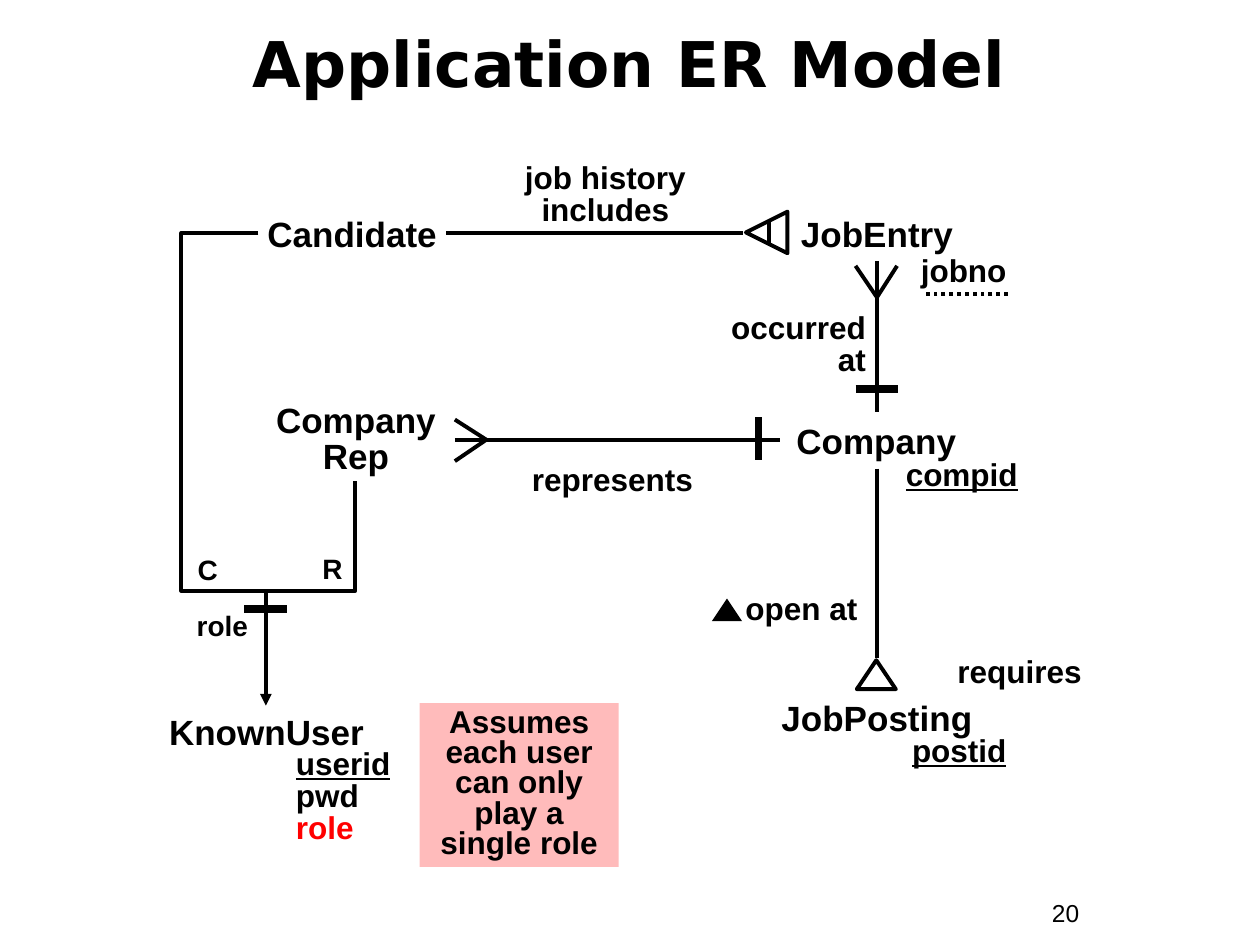
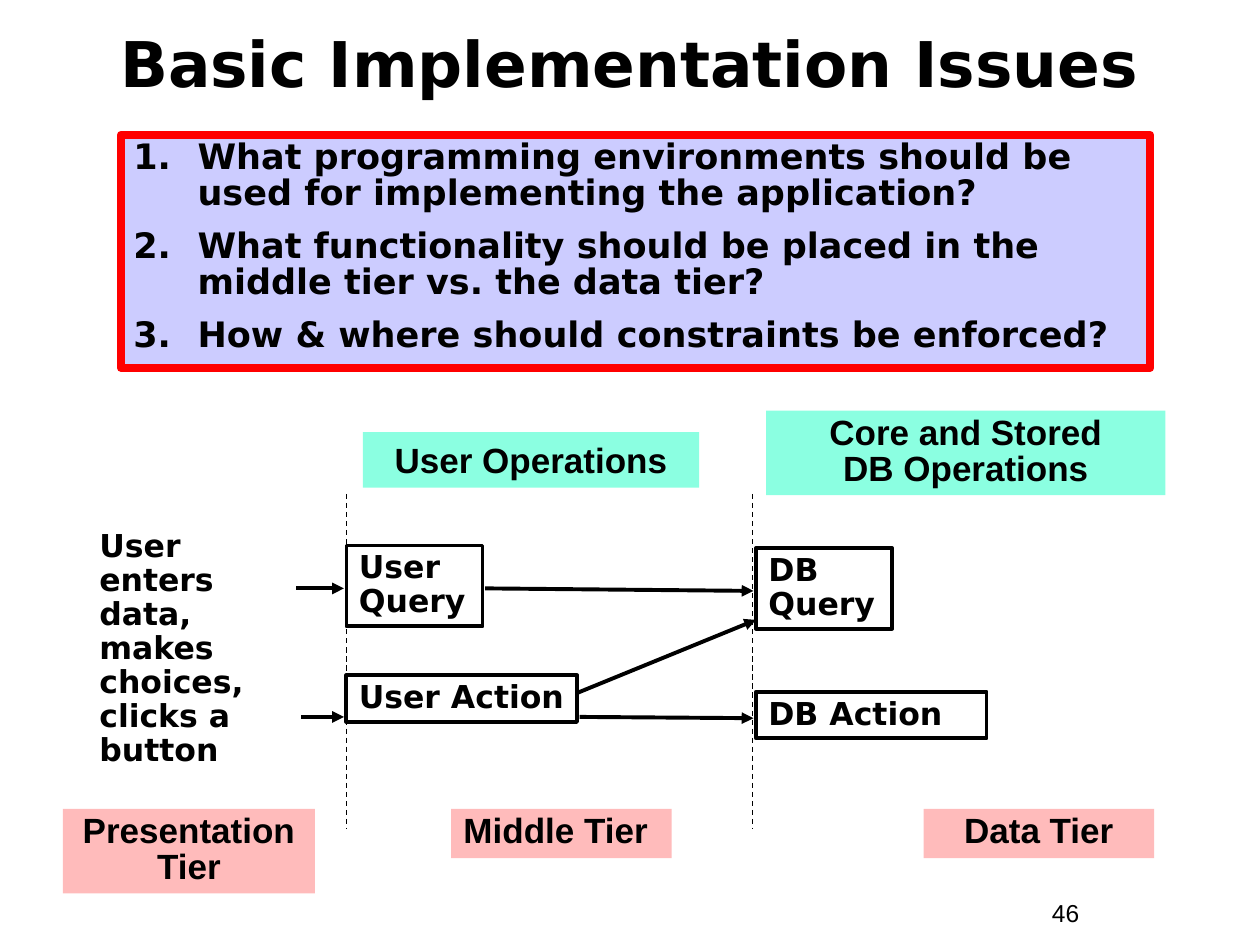
from dataclasses import dataclass
from typing import Optional

from lxml.etree import SubElement
from pptx import Presentation
from pptx.dml.color import RGBColor
from pptx.enum.dml import MSO_LINE as Dash
from pptx.enum.shapes import MSO_CONNECTOR as Connector, MSO_SHAPE as Shape
from pptx.enum.text import MSO_ANCHOR as Anchor, PP_ALIGN as Align
from pptx.oxml.ns import qn
from pptx.util import Inches, Pt

BLACK = RGBColor(0x00, 0x00, 0x00)
WHITE = RGBColor(0xFF, 0xFF, 0xFF)
RED = RGBColor(0xFF, 0x00, 0x00)
PINK = RGBColor(0xFF, 0xBB, 0xBB)
MINT = RGBColor(0x8B, 0xFF, 0xE1)
LAVENDER = RGBColor(0xCC, 0xCC, 0xFF)

ARIAL = "Arial"
DEJAVU = "DejaVu Sans"
THIN, NORMAL, THICK = 0.75, 2.25, 4.5

Point = tuple[float, float]
Frame = tuple[float, float, float, float]


@dataclass(frozen=True)
class Span:
    text: str
    color: RGBColor = BLACK
    underline: bool = False


@dataclass(frozen=True)
class Box:
    """A text block; each span is a paragraph and a newline is a line break."""
    frame: Frame
    spans: tuple[Span, ...]
    size: float = 18
    font: str = ARIAL
    bold: bool = True
    align: Align = Align.CENTER
    anchor: Anchor = Anchor.TOP
    spacing: float = 0.85
    wrap: bool = True
    fill: Optional[RGBColor] = None
    line: Optional[RGBColor] = None
    weight: float = NORMAL
    numbered: bool = False


@dataclass(frozen=True)
class Link:
    start: Point
    end: Point
    weight: float = NORMAL
    dash: Optional[Dash] = None
    arrow: bool = False


def label(text: str, *frame: float, size: float = 18, align: Align = Align.CENTER,
          underline: bool = False) -> Box:
    return Box(frame, (Span(text, underline=underline),), size, align=align)


def entity(text: str, *frame: float, spacing: float = 1.0) -> Box:
    return Box(frame, (Span(text),), 20, anchor=Anchor.MIDDLE, spacing=spacing,
               wrap=False, fill=WHITE)


def band(text: str, *frame: float, fill: RGBColor, align: Align = Align.CENTER,
         anchor: Anchor = Anchor.TOP, spacing: float = 0.85) -> Box:
    return Box(frame, (Span(text),), 20, align=align, anchor=anchor,
               spacing=spacing, fill=fill)


def step(text: str, *frame: float, line: Optional[RGBColor] = BLACK) -> Box:
    return Box(frame, (Span(text),), font=DEJAVU, align=Align.LEFT,
               spacing=0.9, line=line)


def style_shape(shape, fill: Optional[RGBColor], line: Optional[RGBColor],
                weight: float = NORMAL) -> None:
    shape.shadow.inherit = False
    if fill is None:
        shape.fill.background()
    else:
        shape.fill.solid()
        shape.fill.fore_color.rgb = fill
    if line is None:
        shape.line.fill.background()
    else:
        shape.line.color.rgb = line
        shape.line.width = Pt(weight)


def number_paragraph(para) -> None:
    properties = para._p.get_or_add_pPr()
    properties.set("marL", str(Inches(0.51)))
    properties.set("indent", str(-Inches(0.51)))
    para.space_before = Pt(10)
    SubElement(properties, qn("a:buFont"), typeface="+mj-lt")
    SubElement(properties, qn("a:buAutoNum"), type="arabicPeriod")


def add_span(para, span: Span, box: Box) -> None:
    for index, text in enumerate(span.text.split("\n")):
        if index:
            para.add_line_break()
        run = para.add_run()
        run.text = text
        run.font.name = box.font
        run.font.size = Pt(box.size)
        run.font.bold = box.bold
        run.font.underline = span.underline
        run.font.color.rgb = span.color


def add_box(page, box: Box) -> None:
    frame = [Inches(length) for length in box.frame]
    if box.fill is None and box.line is None:
        shape = page.shapes.add_textbox(*frame)
    else:
        shape = page.shapes.add_shape(Shape.RECTANGLE, *frame)
        style_shape(shape, box.fill, box.line, box.weight)
    body = shape.text_frame
    body.word_wrap = box.wrap
    body.vertical_anchor = box.anchor
    for index, span in enumerate(box.spans):
        para = body.add_paragraph() if index else body.paragraphs[0]
        para.alignment = box.align
        para.line_spacing = box.spacing
        if box.numbered:
            number_paragraph(para)
        add_span(para, span, box)


def add_link(page, link: Link) -> None:
    ends = [Inches(length) for length in (*link.start, *link.end)]
    connector = page.shapes.add_connector(Connector.STRAIGHT, *ends)
    connector.line.color.rgb = BLACK
    connector.line.width = Pt(link.weight)
    if link.dash is not None:
        connector.line.dash_style = link.dash
    if link.arrow:
        SubElement(connector.line._get_or_add_ln(), qn("a:tailEnd"), type="triangle")
    SubElement(connector._element.spPr, qn("a:effectLst"))


def add_route(page, points: list[Point]) -> None:
    """Draw an open line with square corners through the points."""
    (left, top), *rest = [(Inches(x), Inches(y)) for x, y in points]
    builder = page.shapes.build_freeform(left, top)
    builder.add_line_segments(rest, close=False)
    style_shape(builder.convert_to_shape(), None, BLACK)


def add_triangle(page, kind: Shape, frame: Frame, fill: Optional[RGBColor] = None,
                 line: Optional[RGBColor] = BLACK, rotation: float = 0) -> None:
    shape = page.shapes.add_shape(kind, *[Inches(length) for length in frame])
    shape.rotation = rotation
    style_shape(shape, fill, line)


def add_page(deck, title: str, number: int, title_height: float, spacing: float):
    page = deck.slides.add_slide(deck.slide_layouts[6])
    add_box(page, Box((0.33, 0.08, 9.33, title_height), (Span(title),), 36, DEJAVU,
                      anchor=Anchor.MIDDLE, spacing=spacing))
    add_box(page, Box((8.25, 7.08, 0.92, 0.34), (Span(str(number)),), 14,
                      bold=False, align=Align.LEFT, spacing=1.0))
    return page


def build_er_model(deck) -> None:
    page = add_page(deck, "Application ER Model", 20, 0.92, 0.85)
    company_x, rep_foot, row_y, rep_y = 6.96, (3.86, 3.49), 1.85, 3.49
    entry_foot = (company_x, 2.36)

    entities = [
        entity("Candidate", 2.05, 1.62, 1.49, 0.46),
        entity("JobEntry", 6.25, 1.62, 1.42, 0.46),
        entity("Company\nRep", 2.04, 3.17, 1.57, 0.66, spacing=0.85),
        entity("Company", 6.19, 3.27, 1.53, 0.45),
        entity("KnownUser", 1.62, 5.6, 0.99, 0.46, spacing=0.85),
        entity("JobPosting", 6.1, 5.45, 1.72, 0.49),
    ]
    relationships = [
        Link((3.54, row_y), (5.9, row_y)),
        Link((company_x, 2.07), (company_x, 3.27)),
        Link((3.61, rep_y), (6.19, rep_y)),
        Link((company_x, 3.72), (company_x, 5.22)),
        Link((2.11, 4.69), (2.11, 5.6), arrow=True),
    ]
    crow_feet = [
        *(Link(entry_foot, (x, 2.11)) for x in (6.79, 7.12)),
        *(Link(rep_foot, (3.61, y)) for y in (3.33, 3.66)),
    ]
    bars = [
        Link((1.94, 4.83), (2.28, 4.83), THICK),
        Link((6.79, 3.09), (7.13, 3.09), THICK),
        Link((6.02, 3.31), (6.02, 3.65), THICK),
        Link((6.1, 1.75), (6.1, 1.94)),
        Link((8, 2.33), (7.33, 2.33), dash=Dash.ROUND_DOT),
    ]
    labels = [
        label("job history includes", 3.64, 1.25, 2.33, 0.61),
        label("occurred\nat", 5.48, 2.44, 1.49, 0.61, align=Align.RIGHT),
        label("represents", 4, 3.65, 1.72, 0.36),
        label("open at", 5.5, 4.67, 1.72, 0.36),
        label("requires", 7.5, 5.17, 1.42, 0.36, align=Align.LEFT),
        label("jobno", 7.21, 1.99, 1.08, 0.36, align=Align.LEFT),
        label("compid", 7.09, 3.61, 1.25, 0.36, align=Align.LEFT, underline=True),
        label("postid", 7.14, 5.8, 1.07, 0.36, align=Align.LEFT, underline=True),
        label("role", 1.35, 4.82, 0.83, 0.33, size=16),
        label("C", 1.47, 4.38, 0.33, 0.33, size=16),
        label("R", 2.46, 4.37, 0.33, 0.33, size=16),
        Box((2.25, 5.9, 1.08, 0.87),
            (Span("userid", underline=True), Span("pwd"), Span("role", RED)),
            align=Align.LEFT),
        Box((3.33, 5.58, 1.58, 1.3),
            (Span("Assumes each user can only play a single role"),),
            spacing=0.8, fill=PINK),
    ]

    for box in entities:
        add_box(page, box)
    add_route(page, [(2.05, row_y), (1.44, row_y), (1.44, 4.69), (2.82, 4.69), (2.82, 3.82)])
    for link in relationships + crow_feet + bars:
        add_link(page, link)
    add_triangle(page, Shape.FLOWCHART_EXTRACT, (5.92, 1.68, 0.33, 0.33), rotation=270)
    add_triangle(page, Shape.ISOSCELES_TRIANGLE, (6.8, 5.24, 0.31, 0.23))
    add_triangle(page, Shape.ISOSCELES_TRIANGLE, (5.65, 4.75, 0.24, 0.18),
                 fill=BLACK, line=None)
    for box in labels:
        add_box(page, box)


def build_implementation_issues(deck) -> None:
    page = add_page(deck, "Basic Implementation Issues", 46, 0.83, 1.0)
    questions = (
        Span("What programming environments should be used for implementing the application?"),
        Span("What functionality should be placed in the middle tier vs. the data tier?"),
        Span("How & where should constraints be enforced?"),
    )
    boxes = [
        Box((0.96, 1.07, 8.17, 1.85), questions, 20, DEJAVU, align=Align.LEFT,
            fill=LAVENDER, line=RED, weight=THICK, numbered=True),
        band("User Operations", 2.88, 3.43, 2.67, 0.44, fill=MINT,
             anchor=Anchor.MIDDLE, spacing=1.0),
        band("Core and Stored\nDB Operations", 6.08, 3.26, 3.17, 0.67, fill=MINT,
             anchor=Anchor.MIDDLE),
        band("Presentation Tier", 0.5, 6.42, 2, 0.67, fill=PINK),
        band("Middle Tier", 3.58, 6.42, 1.75, 0.39, fill=PINK, align=Align.LEFT),
        band("Data Tier", 7.33, 6.42, 1.83, 0.39, fill=PINK),
        step("User enters data, makes choices, clicks a button",
             0.69, 4.16, 1.42, 1.99, line=None),
        step("User Query", 2.75, 4.33, 1.08, 0.64),
        step("User Action", 2.75, 5.36, 1.83, 0.37),
        step("DB\nQuery", 6, 4.35, 1.08, 0.64),
        step("DB Action", 6, 5.49, 1.83, 0.37),
    ]
    tier_borders = [Link((x, 3.92), (x, 6.58), THIN, Dash.DASH) for x in (2.75, 5.97)]
    arrows = [
        Link(start, end, arrow=True)
        for start, end in (
            ((2.35, 4.67), (2.73, 4.67)),
            ((2.39, 5.69), (2.73, 5.69)),
            ((3.85, 4.67), (5.98, 4.69)),
            ((4.6, 5.69), (5.98, 5.7)),
            ((4.58, 5.5), (6, 4.92)),
        )
    ]
    for link in tier_borders:
        add_link(page, link)
    for box in boxes:
        add_box(page, box)
    for link in arrows:
        add_link(page, link)


def main() -> None:
    deck = Presentation()
    deck.slide_width, deck.slide_height = Inches(10), Inches(7.5)
    build_er_model(deck)
    build_implementation_issues(deck)
    deck.save("out.pptx")


if __name__ == "__main__":
    main()
